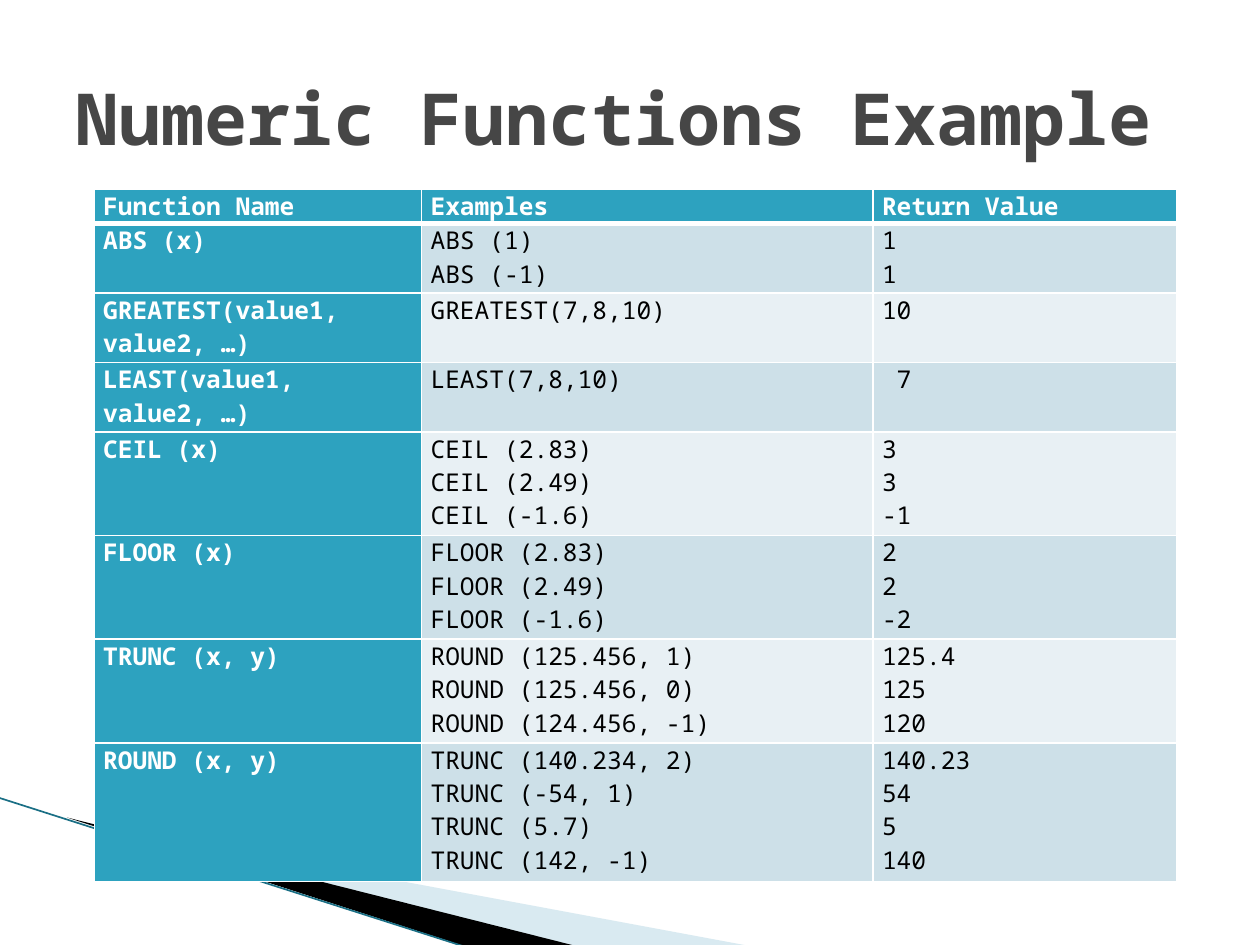
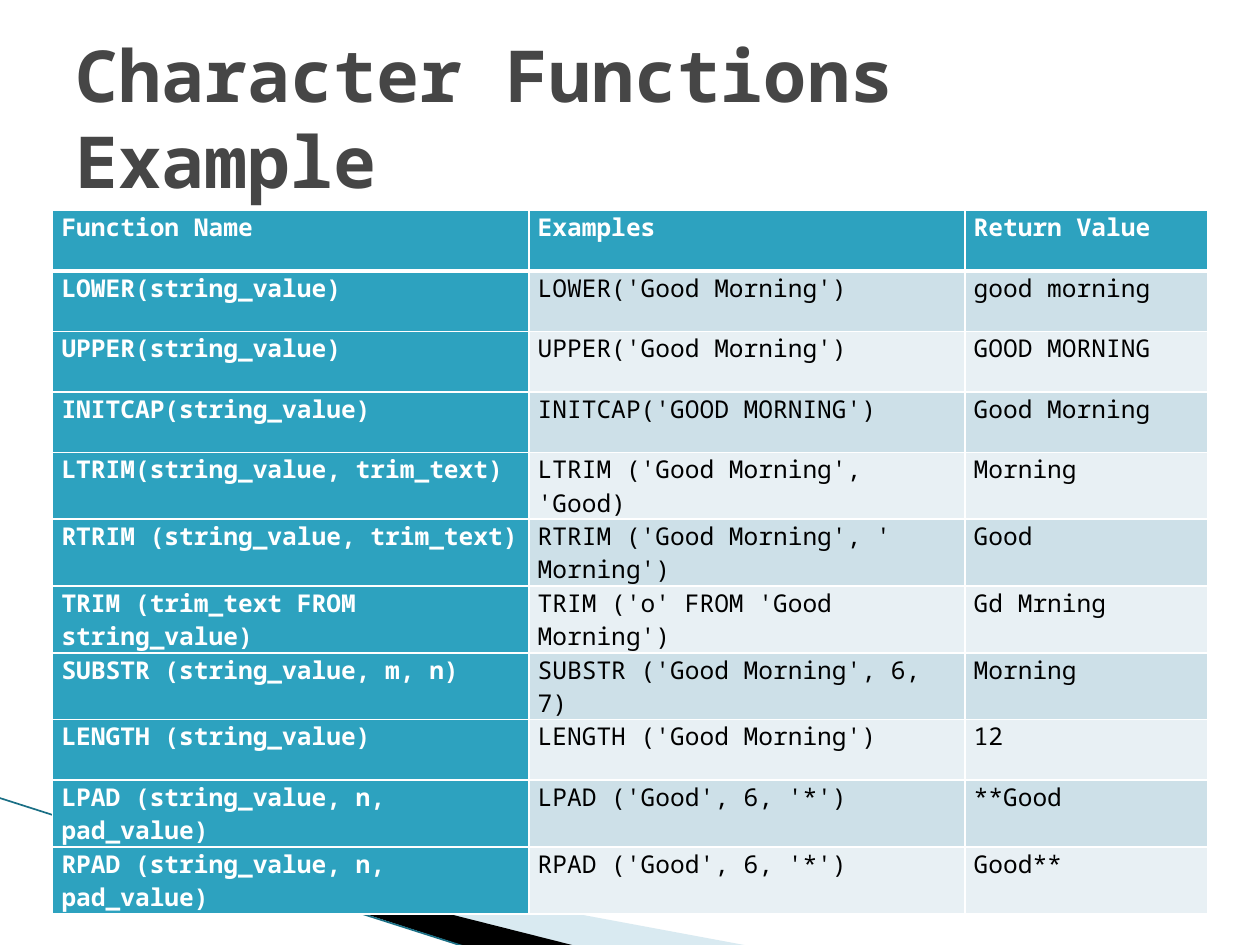
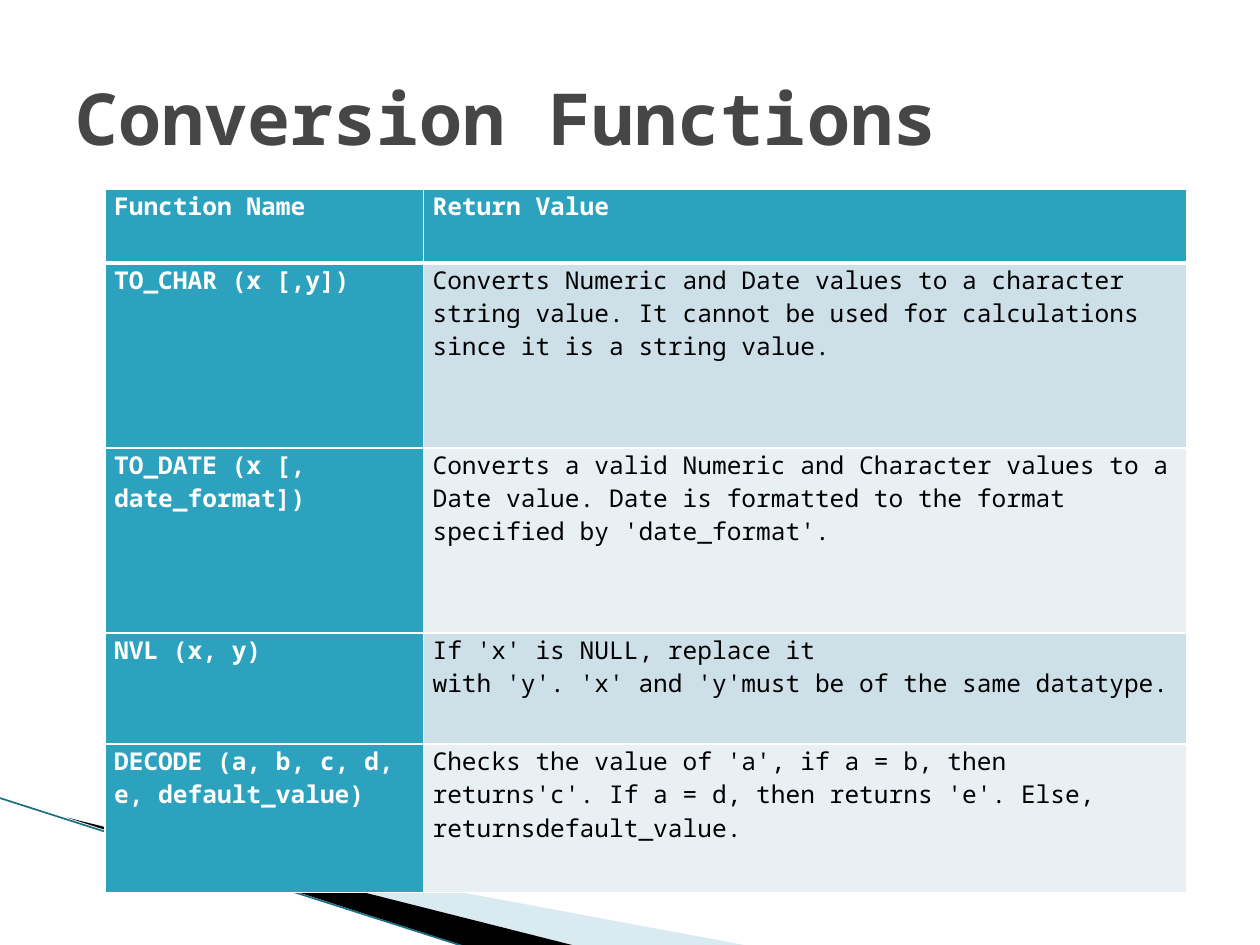
from dataclasses import dataclass

from lxml.etree import SubElement
from pptx import Presentation
from pptx.dml.color import RGBColor
from pptx.enum.shapes import MSO_CONNECTOR
from pptx.enum.text import MSO_ANCHOR
from pptx.oxml.ns import qn
from pptx.util import Cm, Pt


@dataclass(frozen=True)
class Theme:
    font: str = "Noto Sans Mono"
    title: str = "464646"
    head: str = "2DA2BF"
    odd: str = "CDE0E8"
    even: str = "E8F0F4"
    white: str = "FFFFFF"
    black: str = "000000"
    wedge: str = "A0CBDC"
    edge: str = "1A6F85"
    big: float = 41
    small: float = 14


theme = Theme()


def style(frame, size, color, bold):
    for para in frame.paragraphs:
        for run in para.runs:
            run.font.name = theme.font
            run.font.size = Pt(size)
            run.font.bold = bold
            run.font.color.rgb = RGBColor.from_string(color)


def border(cell, side, width):
    line = SubElement(cell._tc.get_or_add_tcPr(), qn(f"a:ln{side}"), w=str(Pt(width)))
    fill = SubElement(line, qn("a:solidFill"))
    SubElement(fill, qn("a:srgbClr"), val=theme.white)


# Corner wedges: colour, opacity in percent, outline points in cm
wedges = [
    (theme.wedge, 40, [(1.4, 16.52), (15.11, 19.07), (11.58, 19.07)]),
    (theme.black, 100, [(1.35, 16.48), (11.61, 19.07), (9.45, 19.1)]),
]

# Slides: title, table corner, column widths, row heights, rows.
# In cells \n starts a paragraph, \v breaks a line, ~ is a fixed space.
pages = [
    ("Numeric Functions Example", (1.9, 3.81), [6.6, 9.1, 6.12],
     [0.7] + [1.4] * 3 + [2.09] * 3 + [2.79], [
        ("Function Name", "Examples", "Return Value"),
        ("ABS (x)", "ABS (1)\vABS (-1)", "1\v1"),
        ("GREATEST(value1,\nvalue2, …)", "GREATEST(7,8,10)", "10"),
        ("LEAST(value1,\nvalue2, …)", "LEAST(7,8,10)", " 7"),
        ("CEIL (x)", "CEIL (2.83)\vCEIL (2.49)\vCEIL (-1.6)", "3\v3\v-1"),
        ("FLOOR (x)", "FLOOR (2.83)\vFLOOR (2.49)\vFLOOR (-1.6)", "2\v2\v-2"),
        ("TRUNC (x, y)",
         "ROUND (125.456, 1)\vROUND (125.456, 0)\vROUND (124.456, -1)",
         "125.4\v125\v120"),
        ("ROUND (x, y)",
         "TRUNC (140.234, 2)\vTRUNC (-54, 1)\vTRUNC (5.7)\vTRUNC (142, -1)",
         "140.23\v54\v5\v140"),
    ]),
    ("Character Functions Example", (1.06, 4.24), [9.6, 8.79, 4.9],
     [1.22] * 4 + [1.3, 1.22, 1.3, 1.3, 1.22, 1.3, 1.22], [
        ("Function Name", "Examples", "Return Value"),
        ("LOWER(string_value)", "LOWER('Good Morning')", "good morning"),
        ("UPPER(string_value)", "UPPER('Good Morning')", "GOOD MORNING"),
        ("INITCAP(string_value)", "INITCAP('GOOD MORNING')", "Good Morning"),
        ("LTRIM(string_value, trim_text)", "LTRIM ('Good Morning', 'Good)",
         "Morning"),
        ("RTRIM (string_value, trim_text)", "RTRIM ('Good Morning', ' Morning')",
         "Good"),
        ("TRIM (trim_text FROM string_value)", "TRIM ('o' FROM 'Good Morning')",
         "Gd Mrning"),
        ("SUBSTR (string_value, m, n)", "SUBSTR ('Good Morning', 6, 7)",
         "Morning"),
        ("LENGTH (string_value)", "LENGTH ('Good Morning')", "12"),
        ("LPAD (string_value, n, pad_value)", "LPAD ('Good', 6, '*')", "**Good"),
        ("RPAD (string_value, n, pad_value)", "RPAD ('Good', 6, '*')", "Good**"),
    ]),
    ("Conversion Functions", (2.12, 3.81), [6.42, 15.38],
     [1.49, 3.73, 3.73, 2.24, 2.99], [
        ("Function Name", "Return Value"),
        ("TO_CHAR (x [,y])",
         "Converts Numeric and Date values to a character string value. "
         "It cannot be used for calculations since it is a string value."),
        ("TO_DATE (x [, date_format])",
         "Converts a valid Numeric and Character values to a Date value. "
         "Date is formatted to the format specified by~'date_format'."),
        ("NVL (x, y)",
         "If~'x'~is NULL, replace it with~'y'.~'x'~and~'y'must be of the "
         "same datatype."),
        ("DECODE (a, b, c, d, e, default_value)",
         "Checks the value of~'a', if~a = b, then returns'c'. "
         "If~a = d, then returns~'e'. Else, returnsdefault_value."),
    ]),
]

deck = Presentation()
deck.slide_width, deck.slide_height = Cm(25.4), Cm(19.05)

for title, (left, top), widths, heights, rows in pages:
    slide = deck.slides.add_slide(deck.slide_layouts[6])
    shapes = slide.shapes

    # Corner wedges and edge line
    for color, alpha, points in wedges:
        start, *rest = [(Cm(x), Cm(y)) for x, y in points]
        path = shapes.build_freeform(*start)
        path.add_line_segments(rest)
        wedge = path.convert_to_shape()
        wedge.shadow.inherit = False
        wedge.line.fill.background()
        wedge.fill.solid()
        wedge.fill.fore_color.rgb = RGBColor.from_string(color)
        if alpha < 100:
            tint = wedge.fill._xPr.find(".//" + qn("a:srgbClr"))
            SubElement(tint, qn("a:alpha"), val=str(alpha * 1000))
    edge = shapes.add_connector(
        MSO_CONNECTOR.STRAIGHT, Cm(-0.03), Cm(16.08), Cm(9.42), Cm(19.1))
    edge.line.color.rgb = RGBColor.from_string(theme.edge)
    edge.line.width = Pt(0.95)
    SubElement(edge._element.spPr, qn("a:effectLst"))

    # Function table
    table = shapes.add_table(
        len(rows), len(widths), Cm(left), Cm(top),
        Cm(sum(widths)), Cm(sum(heights))).table
    table.horz_banding = False
    for col, width in zip(table.columns, widths):
        col.width = Cm(width)
    for r, texts in enumerate(rows):
        table.rows[r].height = Cm(heights[r])
        for c, text in enumerate(texts):
            cell = table.cell(r, c)
            cell.margin_left = cell.margin_right = Cm(0.18)
            cell.margin_top = cell.margin_bottom = 0
            cell.text_frame.text = text.replace("~", chr(160))
            head = r == 0 or c == 0
            style(cell.text_frame, theme.small,
                  theme.white if head else theme.black, head)
            for side in "LRTB":
                thick = (r, side) in [(0, "B"), (1, "T")]
                border(cell, side, 3 if thick else 1)
            band = theme.odd if r % 2 else theme.even
            cell.fill.solid()
            cell.fill.fore_color.rgb = RGBColor.from_string(
                theme.head if head else band)

    # Title
    box = shapes.add_textbox(Cm(1.27), Cm(0.76), Cm(22.86), Cm(3.18))
    frame = box.text_frame
    frame.word_wrap = True
    frame.vertical_anchor = MSO_ANCHOR.MIDDLE
    frame.text = title
    style(frame, theme.big, theme.title, True)

deck.save("out.pptx")
